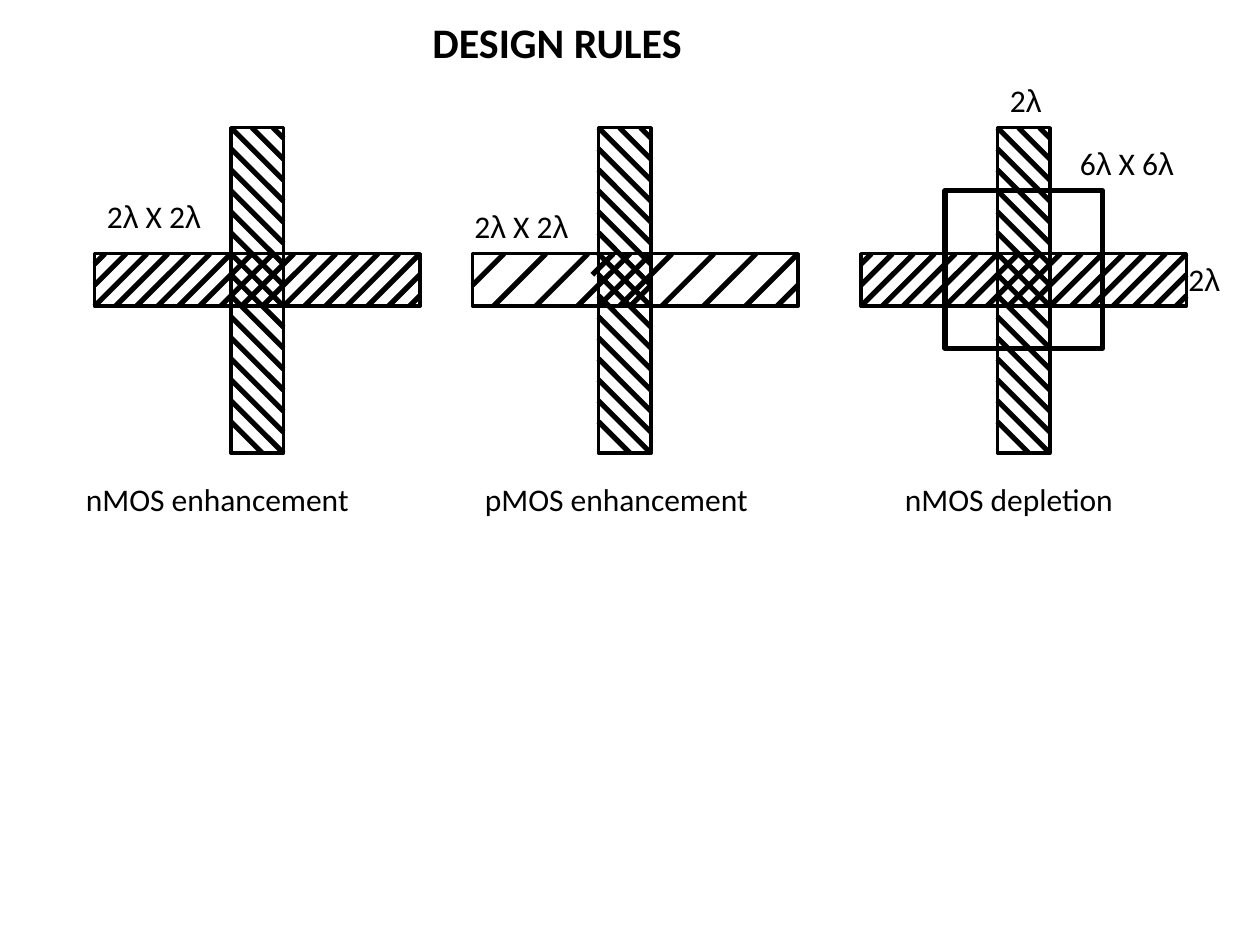
"""Draw the MOS transistor design rules as crossed, hatched layers."""
from dataclasses import dataclass
from itertools import groupby
from typing import Iterable

from lxml import etree
from pptx import Presentation
from pptx import util as u
from pptx.dml.color import RGBColor
from pptx.enum import shapes, text
from pptx.oxml.ns import qn


@dataclass(frozen=True)
class Theme:
    ink: RGBColor = RGBColor(0, 0, 0)
    font: str = "Calibri"
    greek: str = "Arial"
    title: float = 24
    body: float = 18
    outline: float = 2
    stroke: float = 3


@dataclass(frozen=True)
class Bar:
    x: float
    y: float
    w: float
    h: float


@dataclass(frozen=True)
class Transistor:
    diffusion_x: float
    poly_x: float
    offsets: tuple[int, ...]
    extras: tuple[tuple[float, float, float, float], ...] = ()


@dataclass(frozen=True)
class Label:
    text: str
    x: float
    y: float
    w: float
    h: float = 29
    size: float = Theme.body
    bold: bool = False


THEME = Theme()
LENGTH, WIDTH, PITCH = 186, 30, 12
DIFFUSION_Y, POLY_Y = 145, 73
DENSE = tuple(range(-24, 181, PITCH))
SPARSE = (*range(-12, 157, 2 * PITCH), 174)
POLY = tuple(range(-24, 169, PITCH))

TRANSISTORS = (
    Transistor(54, 132, DENSE),
    Transistor(270, 342, SPARSE,
               ((342, 175, 372, 145), (360, 175, 372, 163), (338.5, 157, 350.5, 145))),
    Transistor(492, 570, DENSE),
)
IMPLANT = Bar(540, 109, 90, 90)

LABELS = (
    Label("2λ X 2λ", 54, 109, 99),
    Label("2λ X 2λ", 264, 115, 122),
    Label("6λ X 6λ", 610, 79, 102),
    Label("nMOS enhancement", 42, 271, 216),
    Label("pMOS enhancement", 270, 271, 198),
    Label("nMOS depletion", 510, 271, 174),
    Label("2λ", 570, 43, 36, 50.5),
    Label("2λ", 672, 145, 36, 50.5),
    Label("DESIGN RULES", 240, 6, 240, 36, THEME.title, True),
)


def add_rect(parent, bar: Bar, weight: float) -> None:
    """Add an unfilled outlined rectangle."""
    sp = parent.add_shape(shapes.MSO_SHAPE.RECTANGLE,
                          *map(u.Pt, (bar.x, bar.y, bar.w, bar.h)))
    sp.shadow.inherit = False
    sp.fill.background()
    sp.line.color.rgb = THEME.ink
    sp.line.width = u.Pt(weight)


def add_stroke(parent, x1: float, y1: float, x2: float, y2: float) -> None:
    """Add one hatch stroke."""
    cxn = parent.add_connector(shapes.MSO_CONNECTOR.STRAIGHT,
                               *map(u.Pt, (x1, y1, x2, y2)))
    cxn.line.color.rgb = THEME.ink
    cxn.line.width = u.Pt(THEME.stroke)
    etree.SubElement(cxn._element.spPr, qn("a:effectLst"))


def clipped(offsets: Iterable[int]) -> Iterable[tuple[int, int, int, int]]:
    """Yield start and end of each diagonal, along and across the bar."""
    for offset in offsets:
        start, end = max(offset, 0), min(offset + WIDTH, LENGTH)
        yield start, start - offset, end, end - offset


def add_diffusion(parent, x: float, y: float, offsets: Iterable[int]) -> None:
    """Add a horizontal bar with rising strokes."""
    add_rect(parent, Bar(x, y, LENGTH, WIDTH), THEME.outline)
    for a1, c1, a2, c2 in clipped(offsets):
        add_stroke(parent, x + a1, y + WIDTH - c1, x + a2, y + WIDTH - c2)


def add_poly(parent, x: float, y: float, offsets: Iterable[int]) -> None:
    """Add a vertical bar with falling strokes."""
    add_rect(parent, Bar(x, y, WIDTH, LENGTH), THEME.outline)
    for a1, c1, a2, c2 in clipped(offsets):
        add_stroke(parent, x + c1, y + a1, x + c2, y + a2)


def add_label(parent, label: Label) -> None:
    """Add a text box, with Greek letters in their own font."""
    sp = parent.add_textbox(*map(u.Pt, (label.x, label.y, label.w, label.h)))
    tf = sp.text_frame
    tf.word_wrap = True
    tf.auto_size = text.MSO_AUTO_SIZE.SHAPE_TO_FIT_TEXT
    p = tf.paragraphs[0]
    p.font.size = u.Pt(label.size)
    p.font.bold = label.bold
    p.font.color.rgb = THEME.ink
    p.font.name = THEME.font
    for greek, chars in groupby(label.text, lambda char: char == "λ"):
        r = p.add_run()
        r.text = "".join(chars)
        r.font.name = THEME.greek if greek else THEME.font


def main() -> None:
    """Build and save the slide."""
    prs = Presentation()
    prs.slide_width, prs.slide_height = u.Pt(720), u.Pt(540)
    s = prs.slides.add_slide(prs.slide_layouts[6])
    for device in TRANSISTORS:
        add_diffusion(s.shapes, device.diffusion_x, DIFFUSION_Y, device.offsets)
        for ends in device.extras:
            add_stroke(s.shapes, *ends)
        add_poly(s.shapes.add_group_shape().shapes, device.poly_x, POLY_Y, POLY)
    add_rect(s.shapes, IMPLANT, THEME.stroke)
    for label in LABELS:
        add_label(s.shapes, label)
    prs.save("out.pptx")


if __name__ == "__main__":
    main()
